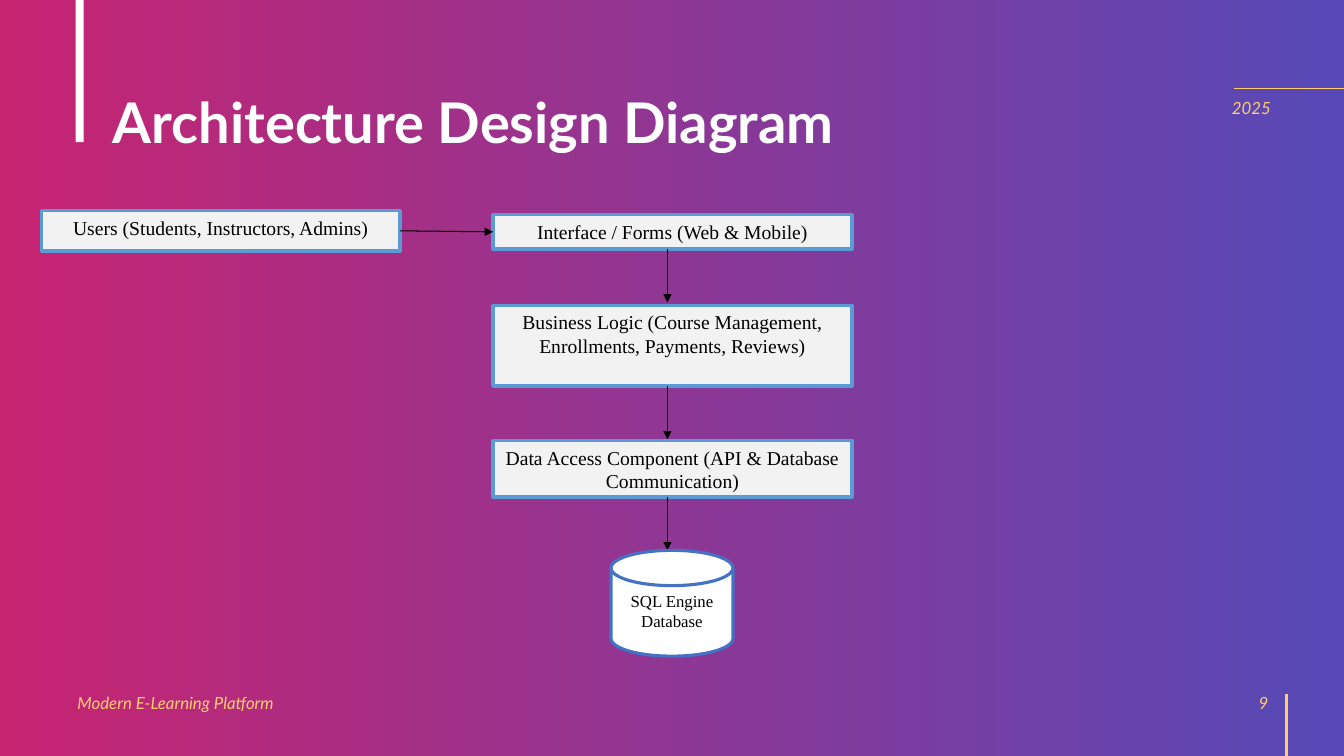
from pptx import Presentation
from pptx import util as u
from pptx.dml.color import RGBColor
from pptx.enum import shapes, text
from pptx.oxml.ns import qn
from lxml import etree

COLORS = {
    "pink": "BE005A", "indigo": "3B2CAC", "white": "FFFFFF", "gold": "FFCD6B",
    "black": "000000", "panel": "F2F2F2", "sky": "5B9BD5", "blue": "4472C4",
}
ALIGN = text.PP_ALIGN
ANCHOR = text.MSO_ANCHOR
KINDS = shapes.MSO_SHAPE


def color(name):
    return RGBColor.from_string(COLORS[name])


class SlideBuilder:
    sans = "Lato"
    serif = "Times New Roman"

    def __init__(self, page):
        self.page = page

    def place(self, box, at):
        box.left, box.top, box.width, box.height = (u.Inches(n) for n in at)

    def set_text(self, box, words, font, size, ink, align=ALIGN.LEFT,
                 anchor=ANCHOR.TOP, bold=False, italic=False):
        frame = box.text_frame
        frame.word_wrap = True
        frame.auto_size = text.MSO_AUTO_SIZE.NONE
        frame.vertical_anchor = anchor
        para = frame.paragraphs[0]
        para.text = words
        para.alignment = align
        para.font.name = font
        para.font.size = u.Pt(size)
        para.font.bold = bold
        para.font.italic = italic
        para.font.color.rgb = color(ink)
        return para

    def shape(self, at, fill, kind=KINDS.RECTANGLE, edge=None, width=2.5):
        box = self.page.shapes.add_shape(kind, *(u.Inches(n) for n in at))
        box.shadow.inherit = False
        box.fill.solid()
        box.fill.fore_color.rgb = color(fill)
        if edge:
            box.line.color.rgb = color(edge)
            box.line.width = u.Pt(width)
        else:
            box.line.fill.background()
        return box

    def backdrop(self, at, start, end, opacity):
        box = self.shape(at, start)
        box.fill.gradient()
        box.fill.gradient_angle = 0
        for stop, name, position in zip(box.fill.gradient_stops, (start, end), (0, 1)):
            stop.color.rgb = color(name)
            stop.position = position
        for tint in box._element.spPr.iter(qn("a:srgbClr")):
            etree.SubElement(tint, qn("a:alpha")).set("val", str(opacity * 1000))

    def title(self, at, words):
        box = self.page.shapes.title
        box._element.getparent().append(box._element)
        self.place(box, at)
        para = self.set_text(box, words, self.sans, 40, "white",
                             anchor=ANCHOR.MIDDLE, bold=True)
        para.line_spacing = 0.9

    def label(self, at, words, align=ALIGN.LEFT, anchor=ANCHOR.MIDDLE):
        box = self.page.shapes.add_textbox(*(u.Inches(n) for n in at))
        self.set_text(box, words, self.sans, 12, "gold", align, anchor, italic=True)

    def node(self, at, words):
        box = self.shape(at, "panel", edge="sky")
        self.set_text(box, words, self.serif, 14, "black", ALIGN.CENTER)

    def database(self, at, words):
        box = self.shape(at, "white", KINDS.FLOWCHART_MAGNETIC_DISK, "blue", 2.25)
        self.set_text(box, words, self.serif, 12, "black", ALIGN.CENTER)

    def line(self, start, end, ink, width, arrow=False):
        link = self.page.shapes.add_connector(
            shapes.MSO_CONNECTOR.STRAIGHT, *(u.Inches(n) for n in start + end))
        link.line.color.rgb = color(ink)
        link.line.width = u.Pt(width)
        if arrow:
            outline = link._element.spPr.find(qn("a:ln"))
            etree.SubElement(outline, qn("a:tailEnd")).set("type", "triangle")
        etree.SubElement(link._element.spPr, qn("a:effectLst"))


def main():
    deck = Presentation()
    deck.slide_width, deck.slide_height = u.Inches(13.33), u.Inches(7.5)
    slide = SlideBuilder(deck.slides.add_slide(deck.slide_layouts[5]))

    slide.backdrop((0, 0, 13.33, 7.5), "pink", "indigo", 85)
    slide.shape((0.75, 0, 0.08, 1.41), "white")
    slide.line((12.24, 0.88), (13.33, 0.88), "gold", 0.5)
    slide.line((12.76, 7.5), (12.76, 6.89), "gold", 1.5)
    slide.title((1.02, 0.52, 11.5, 1.45), "Architecture Design Diagram")
    slide.label((0.67, 6.77, 3.56, 0.4), "Modern E-Learning Platform")
    slide.label((9.68, 6.77, 3, 0.4), "9", ALIGN.RIGHT)
    slide.label((12.12, 0.92, 0.67, 0.36), "2025", anchor=ANCHOR.TOP)

    node_width = 3.56
    layers = [
        (2.13, 0.34, "Interface / Forms (Web & Mobile)"),
        (3.03, 0.8, "Business Logic (Course Management, Enrollments, Payments, Reviews)"),
        (4.37, 0.56, "Data Access Component (API & Database Communication)"),
    ]
    for top, height, words in layers:
        slide.node((4.89, top, node_width, height), words)
        bottom = top + height
        slide.line((6.62, bottom), (6.62, bottom + 0.53), "black", 0.75, arrow=True)
    slide.database((6.06, 5.46, 1.21, 1.05), "SQL Engine Database")
    slide.node((0.41, 2.09, node_width, 0.4), "Users (Students, Instructors, Admins)")
    slide.line((3.97, 2.29), (4.89, 2.3), "black", 0.75, arrow=True)

    deck.save("out.pptx")


if __name__ == "__main__":
    main()
